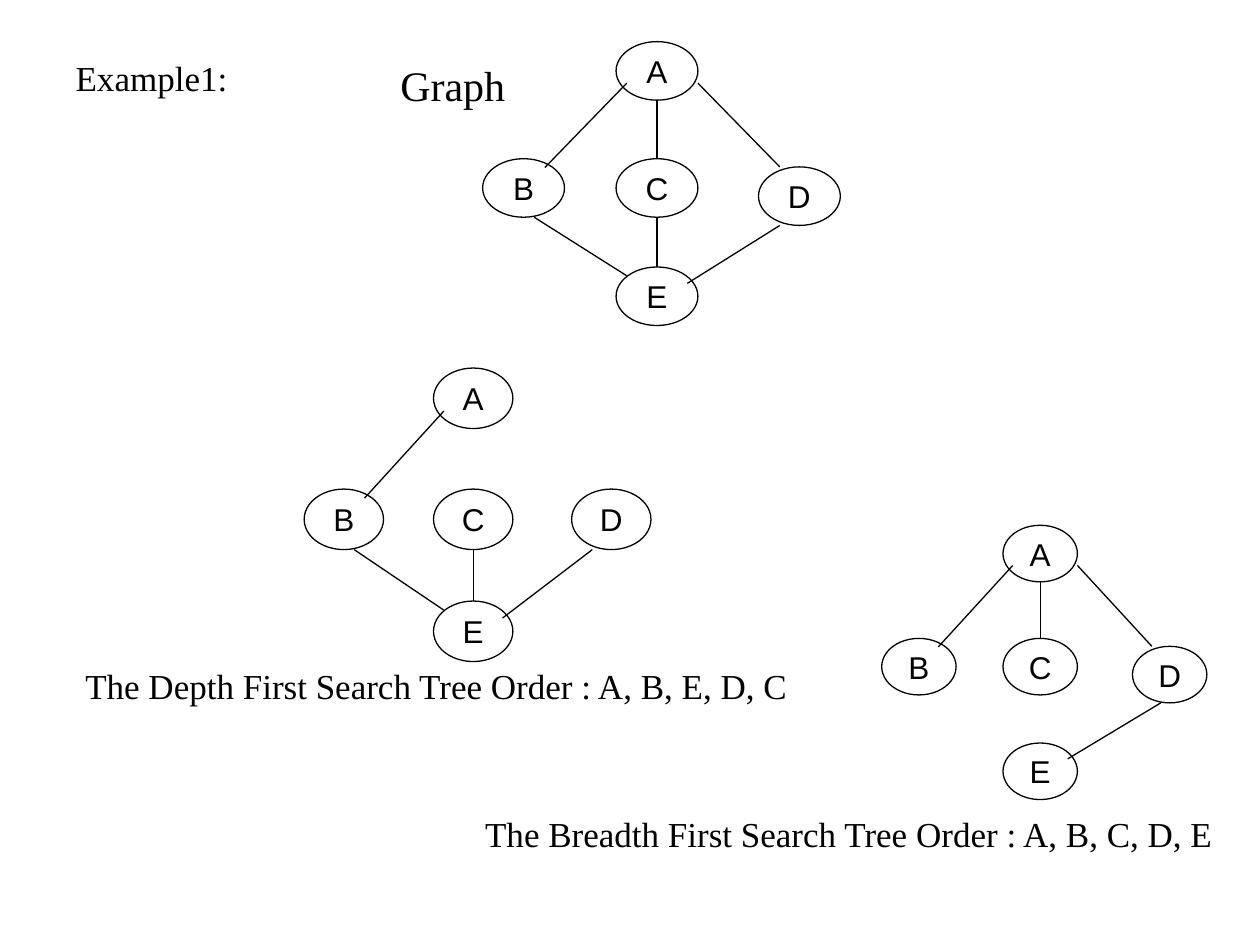
from lxml.etree import SubElement
from pptx import Presentation
from pptx.dml.color import RGBColor
from pptx.enum.shapes import MSO_CONNECTOR, MSO_SHAPE
from pptx.enum.text import MSO_ANCHOR, MSO_AUTO_SIZE as AutoSize, PP_ALIGN
from pptx.oxml.ns import qn
from pptx.util import Cm, Pt

COLORS = {"ink": "000000", "paper": "FFFFFF"}
SERIF, SANS = "Times New Roman", "Arial"
TITLE_ONLY = 5


class GraphSlide:
    """Holds the style and the slide; lengths are centimetres."""

    def __init__(self, prs):
        self.slide = prs.slides.add_slide(prs.slide_layouts[TITLE_ONLY])
        self.shapes = self.slide.shapes

    def color(self, key):
        return RGBColor.from_string(COLORS[key])

    def add_text(self, shape, text, size, font, align, anchor, wrap=True):
        frame = shape.text_frame
        frame.word_wrap = wrap
        frame.vertical_anchor = anchor
        paragraph = frame.paragraphs[0]
        paragraph.alignment = align
        run = paragraph.add_run()
        run.text = text
        run.font.size = Pt(size)
        run.font.name = font
        run.font.color.rgb = self.color("ink")

    def title(self, text, left, top, width, height):
        heading = self.shapes.title
        heading.left, heading.top = Cm(left), Cm(top)
        heading.width, heading.height = Cm(width), Cm(height)
        heading.text_frame.auto_size = AutoSize.NONE
        self.add_text(heading, text, 20, SERIF, PP_ALIGN.LEFT, MSO_ANCHOR.TOP)

    def caption(self, parent, text, left, top, width, height, size=20, wrap=True):
        label = parent.add_textbox(Cm(left), Cm(top), Cm(width), Cm(height))
        self.add_text(label, text, size, SERIF, PP_ALIGN.LEFT, MSO_ANCHOR.TOP, wrap)
        label.text_frame.auto_size = AutoSize.SHAPE_TO_FIT_TEXT

    def node(self, parent, letter, left, top, width, height):
        oval = parent.add_shape(MSO_SHAPE.OVAL, Cm(left), Cm(top), Cm(width), Cm(height))
        oval.shadow.inherit = False
        oval.fill.solid()
        oval.fill.fore_color.rgb = self.color("paper")
        oval.line.color.rgb = self.color("ink")
        oval.line.width = Pt(0.75)
        self.add_text(oval, letter, 18, SANS, PP_ALIGN.CENTER, MSO_ANCHOR.MIDDLE, False)

    def edge(self, parent, x1, y1, x2, y2):
        line = parent.add_connector(MSO_CONNECTOR.STRAIGHT, Cm(x1), Cm(y1), Cm(x2), Cm(y2))
        line.line.color.rgb = self.color("ink")
        line.line.width = Pt(0.75)
        SubElement(line._element.spPr, qn("a:effectLst"))

    def graph(self, parent, left, top, width, height, edges, d_top=2.14, d_exit=2):
        """Draws nodes A to E from the corner of A, in multiples of the node size."""
        nodes = {"A": (0, 0), "B": (-1.63, 2), "E": (0, 3.85),
                 "D": (1.74, d_top), "C": (0, 2)}
        ends = {
            "AB": (0.13, 0.71, -0.87, 2.15),
            "BE": (-1, 3, 0.13, 4),
            "DE": (d_exit, d_top + 1, 0.87, 4.13),
            "AD": (1, 0.71, 2, d_top),
            "AC": (0.5, 1, 0.5, 2),
            "CE": (0.5, 3, 0.5, 3.85),
        }
        for letter, (x, y) in nodes.items():
            self.node(parent, letter, left + x * width, top + y * height, width, height)
        for pair in edges:
            x1, y1, x2, y2 = ends[pair]
            self.edge(parent, left + x1 * width, top + y1 * height,
                      left + x2 * width, top + y2 * height)


def main():
    prs = Presentation()
    prs.slide_width, prs.slide_height = Cm(25.4), Cm(19.05)
    page = GraphSlide(prs)
    page.title("Example1:", 1.27, 1.02, 4.24, 1.11)

    page.caption(page.shapes, "The Depth First Search Tree Order : A, B, E, D, C",
                 1.47, 13.28, 15.24, 1.11)
    page.graph(page.shapes, 8.74, 7.42, 1.6, 1.22, ["AB", "BE", "DE", "CE"], d_top=2)

    breadth_tree = page.shapes.add_group_shape().shapes
    page.graph(breadth_tree, 20.22, 10.59, 1.5, 1.14, ["AB", "AD", "AC", "DE"], d_exit=2.12)
    page.caption(page.shapes, "The Breadth First Search Tree Order : A, B, C, D, E",
                 9.53, 16.26, 15.44, 1.11)

    full_graph = page.shapes.add_group_shape().shapes
    page.graph(full_graph, 12.42, 0.84, 1.65, 1.18, ["AB", "BE", "DE", "AD", "AC", "CE"])
    page.caption(full_graph, "Graph", 7.82, 1.07, 2.62, 1.27, size=24, wrap=False)

    prs.save("out.pptx")


if __name__ == "__main__":
    main()
